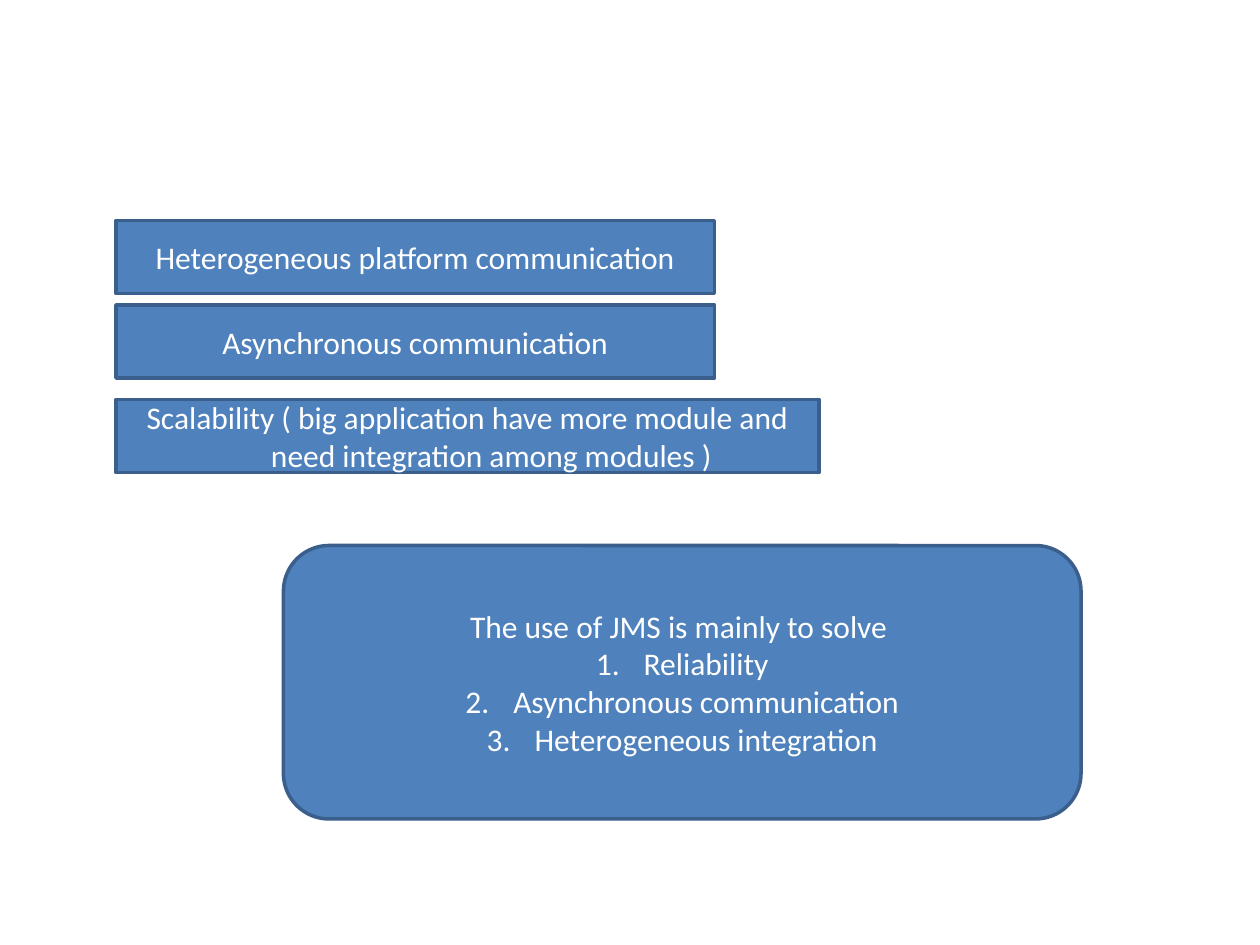
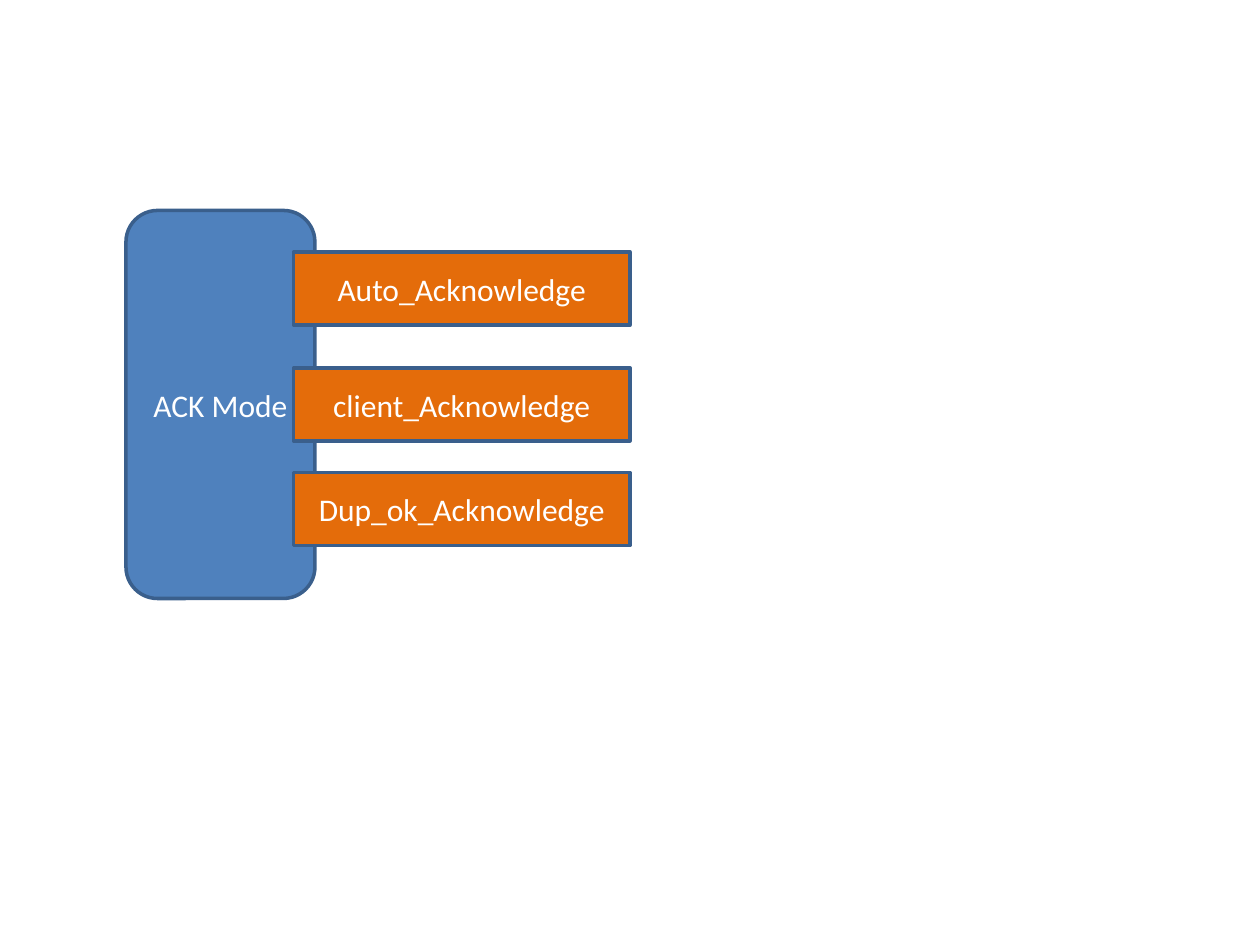
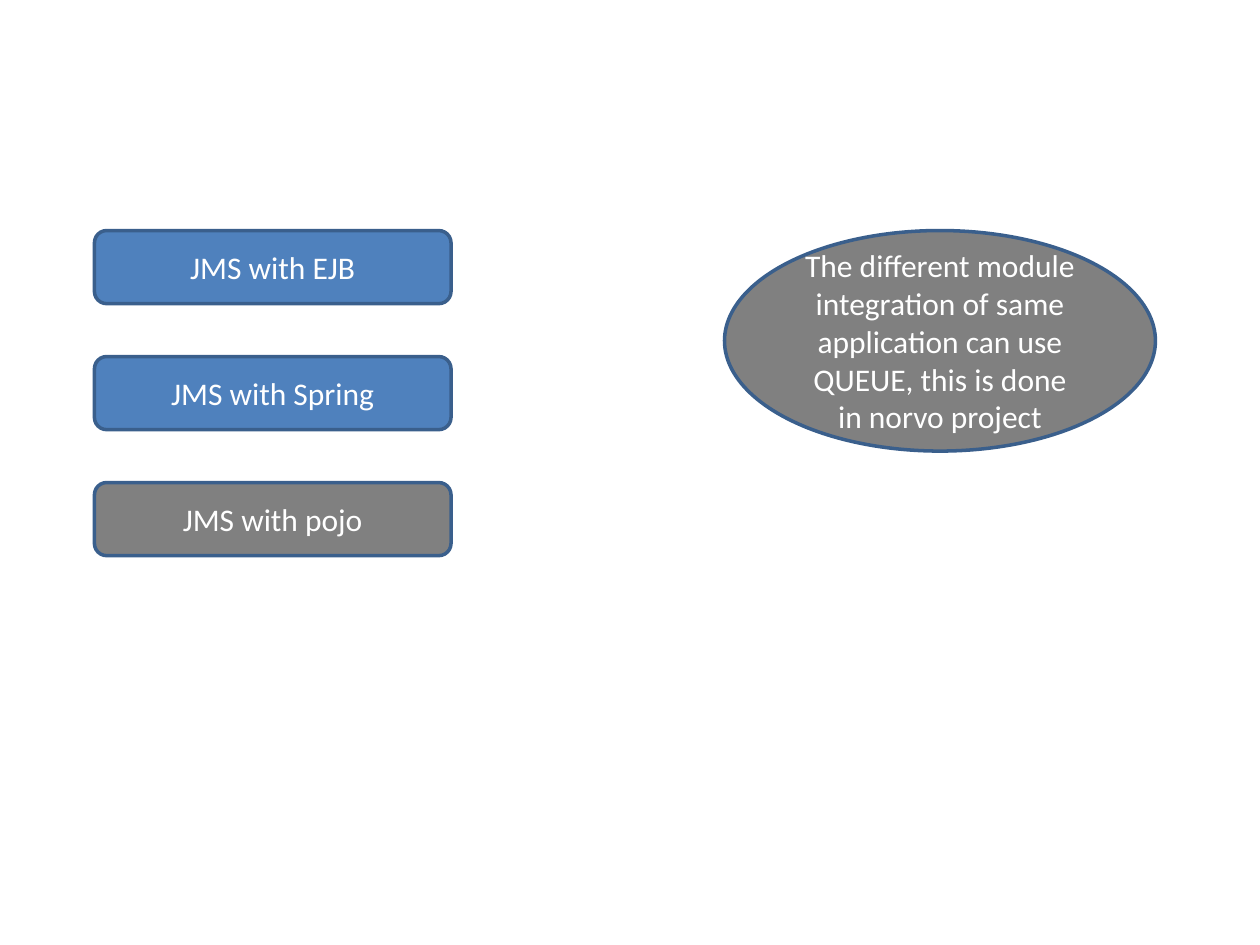
from lxml import etree
from pptx import Presentation
from pptx.dml.color import RGBColor
from pptx.enum.shapes import MSO_SHAPE
from pptx.enum.text import MSO_ANCHOR, PP_ALIGN
from pptx.oxml.ns import qn
from pptx.util import Inches, Pt

RECTANGLE = MSO_SHAPE.RECTANGLE
ROUNDED = MSO_SHAPE.ROUNDED_RECTANGLE
OVAL = MSO_SHAPE.OVAL
CENTER = PP_ALIGN.CENTER
MIDDLE = MSO_ANCHOR.MIDDLE

BLUE, ORANGE, GRAY = "4F81BD", "E46C0A", "808080"
OUTLINE, WHITE = "3A5F8C", "FFFFFF"
TEXT_FORMAT = {"name": "Calibri", "size": Pt(18)}
HANGING = 0.38
BAR_HEIGHT = 0.58


def color(hex_value):
    return RGBColor.from_string(hex_value)


def add_page(deck):
    page = deck.slides.add_slide(deck.slide_layouts[6])
    page.background.fill.solid()
    page.background.fill.fore_color.rgb = color(WHITE)
    return page


def add_paragraph(para, text, hanging=False, numbered=False):
    para.alignment = CENTER
    if hanging or numbered:
        properties = para._p.get_or_add_pPr()
        properties.set("marL", str(Inches(HANGING)))
        properties.set("indent", str(-Inches(HANGING)))
        if numbered:
            etree.SubElement(properties, qn("a:buAutoNum"), type="arabicPeriod")
    span = para.add_run()
    span.text = text
    for name, value in TEXT_FORMAT.items():
        setattr(span.font, name, value)
    span.font.color.rgb = color(WHITE)


def add_box(page, kind, place, text, fill=BLUE, hanging=False, steps=()):
    """Add an outlined shape with centred text, then any numbered steps."""
    box = page.shapes.add_shape(kind, *map(Inches, place))
    box.shadow.inherit = False
    box.fill.solid()
    box.fill.fore_color.rgb = color(fill)
    box.line.color.rgb = color(OUTLINE)
    box.line.width = Pt(2)
    frame = box.text_frame
    frame.word_wrap = True
    frame.vertical_anchor = MIDDLE
    add_paragraph(frame.paragraphs[0], text, hanging)
    for step in steps:
        add_paragraph(frame.add_paragraph(), step, numbered=True)


def build_uses(deck):
    page = add_page(deck)
    add_box(page, ROUNDED, (2.25, 4.33, 6.33, 2.17),
            "The use of JMS is mainly to solve ",
            steps=("Reliability", "Asynchronous communication",
                   "Heterogeneous integration"))
    needs = (
        (1.75, 4.75, "Heterogeneous platform communication"),
        (2.42, 4.75, "Asynchronous communication"),
        (3.17, 5.58, "Scalability ( big application have more module "
                     "and need integration among modules )"),
    )
    for top, width, text in needs:
        add_box(page, RECTANGLE, (0.92, top, width, BAR_HEIGHT), text, hanging=True)


def build_ack_modes(deck):
    page = add_page(deck)
    add_box(page, ROUNDED, (1, 1.67, 1.5, 3.08), "ACK Mode")
    modes = ((2, "Auto_Acknowledge"), (2.92, "client_Acknowledge"),
             (3.75, "Dup_ok_Acknowledge"))
    for top, mode in modes:
        add_box(page, RECTANGLE, (2.33, top, 2.67, BAR_HEIGHT), mode, ORANGE)


def build_integrations(deck):
    page = add_page(deck)
    partners = (("EJB", BLUE), ("Spring", BLUE), ("pojo", GRAY))
    for row, (partner, fill) in enumerate(partners):
        add_box(page, ROUNDED, (0.75, 1.83 + row, 2.83, BAR_HEIGHT),
                f"JMS with {partner}", fill)
    add_box(page, OVAL, (5.75, 1.83, 3.42, 1.75),
            "The different module integration of same application can use "
            "QUEUE, this is done in norvo project", GRAY)


def main():
    deck = Presentation()
    deck.slide_width, deck.slide_height = Inches(10), Inches(7.5)
    build_uses(deck)
    build_ack_modes(deck)
    build_integrations(deck)
    deck.save("out.pptx")


if __name__ == "__main__":
    main()
